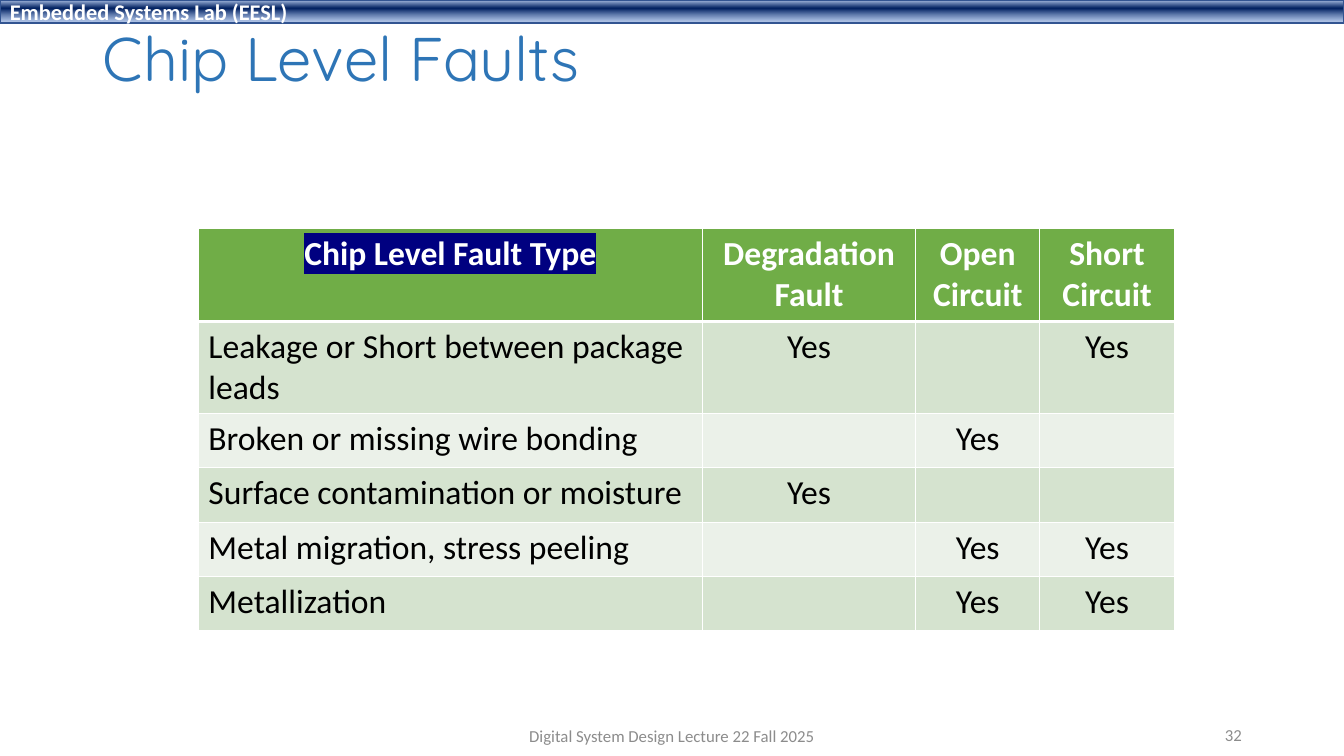
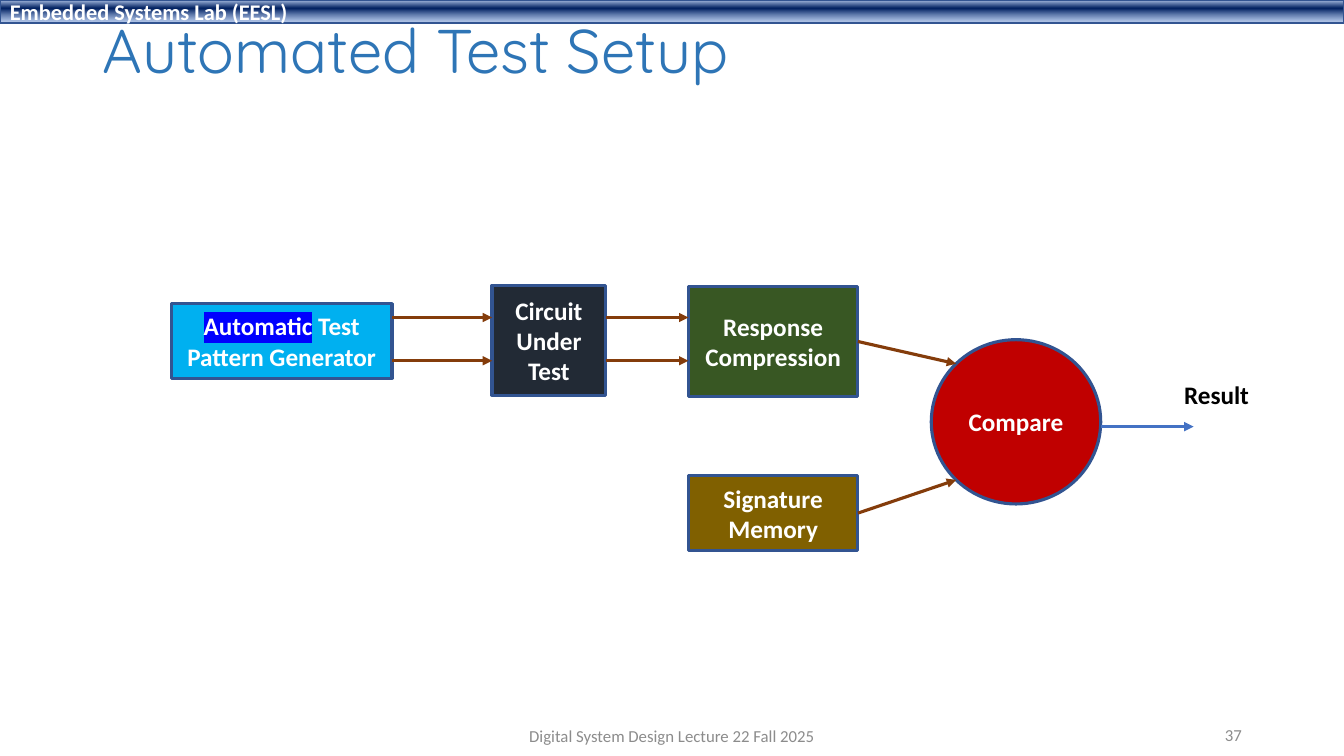
import math

import pptx
import pptx.dml.color
import pptx.enum.dml
import pptx.enum.shapes
import pptx.enum.text
import pptx.oxml
import pptx.oxml.ns
import pptx.util

Cm = pptx.util.Cm
Pt = pptx.util.Pt
qn = pptx.oxml.ns.qn
ALIGN = pptx.enum.text.PP_ALIGN
ANCHOR = pptx.enum.text.MSO_ANCHOR
SHAPE = pptx.enum.shapes.MSO_SHAPE

WIDTH, HEIGHT = 33.87, 19.05
WHITE, BLACK = "FFFFFF", "000000"
OUTLINE, ARROW, RESULT = "325491", "843C0B", "4472C4"
HEADER, BANDS = "70AD47", ("D5E3CF", "EBF1E9")
BAND_STOPS = ((2, "ABC0E4", 100), (38, "002060", 100), (93, "7E9ED6", 64))

TITLE = {"name": "Quicksand", "size": Pt(44)}
BAND = {"name": "Calibri", "size": Pt(16), "bold": True}
FOOTER = {"name": "Calibri", "size": Pt(12)}
BLOCK = {"name": "Calibri", "size": Pt(18), "bold": True}
HEAD_CELL = {"name": "Calibri", "size": Pt(24), "bold": True}
BODY_CELL = {"name": "Calibri", "size": Pt(24), "bold": False}

FAULT_COLUMNS = (12.7, 5.38, 3.12, 3.4)
FAULT_ROWS = (2.35, 2.32, 1.37, 1.37, 1.37, 1.37)
FAULTS = (
    ("Chip Level Fault Type", "Degradation Fault", "Open Circuit", "Short Circuit"),
    ("Leakage or Short between package leads", "Yes", "", "Yes"),
    ("Broken or missing wire bonding", "", "Yes", ""),
    ("Surface contamination or moisture", "Yes", "", ""),
    ("Metal migration, stress peeling", "", "Yes", "Yes"),
    ("Metallization", "", "Yes", "Yes"),
)


def rgb(value):
    return pptx.dml.color.RGBColor.from_string(value)


def xml(parent, tag, **attrs):
    el = pptx.oxml.parse_xml(f'<a:{tag} {pptx.oxml.ns.nsdecls("a")}/>')
    for key, value in attrs.items():
        el.set(key, str(value))
    parent.append(el)
    return el


def solid(fill, color):
    fill.solid()
    fill.fore_color.rgb = rgb(color)


def set_attrs(target, values):
    for key, value in values.items():
        setattr(target, key, value)


def write(tf, text, fmt, color, align=ALIGN.LEFT, marked="", mark=None):
    p = tf.paragraphs[0]
    p.alignment = align
    for part in (marked, text.removeprefix(marked)):
        if not part:
            continue
        r = p.add_run()
        r.text = part
        set_attrs(r.font, fmt)
        r.font.color.rgb = rgb(color)
        if part == marked:
            rPr = r.font.fill._xPr
            highlight = xml(rPr, "highlight")
            xml(highlight, "srgbClr", val=mark)
            rPr.find(qn("a:solidFill")).addnext(highlight)
    return p


def add_box(s, kind, box, fill, width):
    sp = s.shapes.add_shape(kind, *map(Cm, box))
    sp.shadow.inherit = False
    if fill:
        solid(sp.fill, fill)
    sp.line.color.rgb = rgb(OUTLINE)
    sp.line.width = Pt(width)
    set_attrs(sp.text_frame, {"word_wrap": True, "vertical_anchor": ANCHOR.MIDDLE})
    return sp


def add_text(s, box, text, fmt, color, align=ALIGN.LEFT, **frame):
    tf = s.shapes.add_textbox(*map(Cm, box)).text_frame
    set_attrs(tf, {"word_wrap": True, **frame})
    write(tf, text, fmt, color, align)


def add_arrow(s, start, end, color):
    cxn = s.shapes.add_connector(
        pptx.enum.shapes.MSO_CONNECTOR.STRAIGHT, *map(Cm, start + end))
    cxn.line.color.rgb = rgb(color)
    cxn.line.width = Pt(2.25)
    spPr = cxn.element.spPr
    xml(spPr.find(qn("a:ln")), "tailEnd", type="triangle")
    xml(spPr, "effectLst")


def add_layout_band(prs, layout):
    s = prs.slides[0]
    sp = add_box(s, SHAPE.RECTANGLE, (0, 0, WIDTH, 0.58), None, 1)
    sp.fill.gradient()
    sp.fill.gradient_angle = 270
    stops = sp.element.spPr.find(".//" + qn("a:gsLst"))
    for old in list(stops):
        stops.remove(old)
    for pos, color, alpha in BAND_STOPS:
        clr = xml(xml(stops, "gs", pos=pos * 1000), "srgbClr", val=color)
        if alpha < 100:
            xml(clr, "alpha", val=alpha * 1000)
    write(sp.text_frame, "Embedded Systems Lab (EESL)", BAND, WHITE)
    layout.shapes.element.append(sp.element)


def add_slide(prs, layout, title, title_height, number):
    s = prs.slides.add_slide(layout)
    sp = s.shapes.title
    box = (2.34, 0.38, 29.21, title_height)
    set_attrs(sp, dict(zip(("left", "top", "width", "height"), map(Cm, box))))
    set_attrs(sp.text_frame, {
        "word_wrap": True, "vertical_anchor": ANCHOR.MIDDLE,
        "auto_size": pptx.enum.text.MSO_AUTO_SIZE.NONE})
    write(sp.text_frame, title, TITLE, "2E75B6").line_spacing = 0.9
    for footer_box, text, align in (
        ((11.22, 18.03, 11.43, 1.01), "Digital System Design Lecture 22 Fall 2025", ALIGN.CENTER),
        ((23.93, 18.01, 7.62, 1.01), str(number), ALIGN.RIGHT),
    ):
        add_text(s, footer_box, text, FOOTER, "8C8C8C", align,
                 vertical_anchor=ANCHOR.MIDDLE)
    return s


def set_borders(cell, widths):
    tcPr = cell._tc.get_or_add_tcPr()
    for side, width in widths.items():
        ln = xml(tcPr, "ln" + side, w=Pt(width))
        xml(xml(ln, "solidFill"), "srgbClr", val=WHITE)


def add_fault_table(s, left, top):
    box = (left, top, sum(FAULT_COLUMNS), sum(FAULT_ROWS))
    tbl = s.shapes.add_table(len(FAULTS), len(FAULT_COLUMNS), *map(Cm, box)).table
    for col, width in zip(tbl.columns, FAULT_COLUMNS):
        col.width = Cm(width)
    for i, (row, height, values) in enumerate(zip(tbl.rows, FAULT_ROWS, FAULTS)):
        row.height = Cm(height)
        head = i == 0
        for j, (cell, text) in enumerate(zip(row.cells, values)):
            set_borders(cell, {"L": 1, "R": 1, "T": 3 if i == 1 else 1, "B": 3 if head else 1})
            solid(cell.fill, HEADER if head else BANDS[(i - 1) % 2])
            write(cell.text_frame, text,
                  HEAD_CELL if head else BODY_CELL,
                  WHITE if head else BLACK,
                  ALIGN.CENTER if head or j else ALIGN.LEFT,
                  text if head and j == 0 else "", "000080")


def add_test_diagram(s, left, top):
    def place(x, y, *size):
        return (left + x, top + y, *size)

    generator = place(0, 0.46, 5.56, 1.88)
    circuit = place(8.08, 0, 2.87, 2.77)
    response = place(13.03, 0.03, 4.27, 2.77)
    memory = place(13.03, 4.8, 4.27, 1.88)
    compare = place(19.15, 1.37, 4.27, 4.14)

    for box, kind, fill, text, marked in (
        (generator, SHAPE.RECTANGLE, "00B0F0", "Automatic Test Pattern Generator", "Automatic"),
        (circuit, SHAPE.RECTANGLE, "222A35", "Circuit Under Test", ""),
        (response, SHAPE.RECTANGLE, "385723", "Response Compression", ""),
        (memory, SHAPE.RECTANGLE, "806000", "Signature Memory", ""),
        (compare, SHAPE.OVAL, "C00000", "Compare", ""),
    ):
        sp = add_box(s, kind, box, fill, 2.25)
        write(sp.text_frame, text, BLOCK, WHITE, ALIGN.CENTER, marked, "0000FF")

    for source, target in ((generator, circuit), (circuit, response)):
        for y in (0.81, 1.9):
            add_arrow(s, (source[0] + source[2], top + y), (target[0], top + y), ARROW)

    x, y, w, h = compare
    inset = (1 - math.sqrt(0.5)) / 2
    for source, share in ((response, inset), (memory, 1 - inset)):
        start = (source[0] + source[2], source[1] + source[3] / 2)
        add_arrow(s, start, (x + w * inset, y + h * share), ARROW)

    add_arrow(s, (x + w, top + 3.56), place(25.76, 3.56), RESULT)
    add_text(s, place(25.27, 2.24, 2.16, 1.02), "Result", BLOCK, BLACK, word_wrap=False)


def main():
    prs = pptx.Presentation()
    prs.slide_width, prs.slide_height = Cm(WIDTH), Cm(HEIGHT)
    layout = prs.slide_layouts.get_by_name("Title Only")
    faults = add_slide(prs, layout, "Chip Level Faults", 2.36, 32)
    add_layout_band(prs, layout)
    add_fault_table(faults, 5, 5.75)
    setup = add_slide(prs, layout, "Automated Test Setup", 1.96, 37)
    add_test_diagram(setup, 4.32, 7.19)
    prs.save("out.pptx")


if __name__ == "__main__":
    main()
